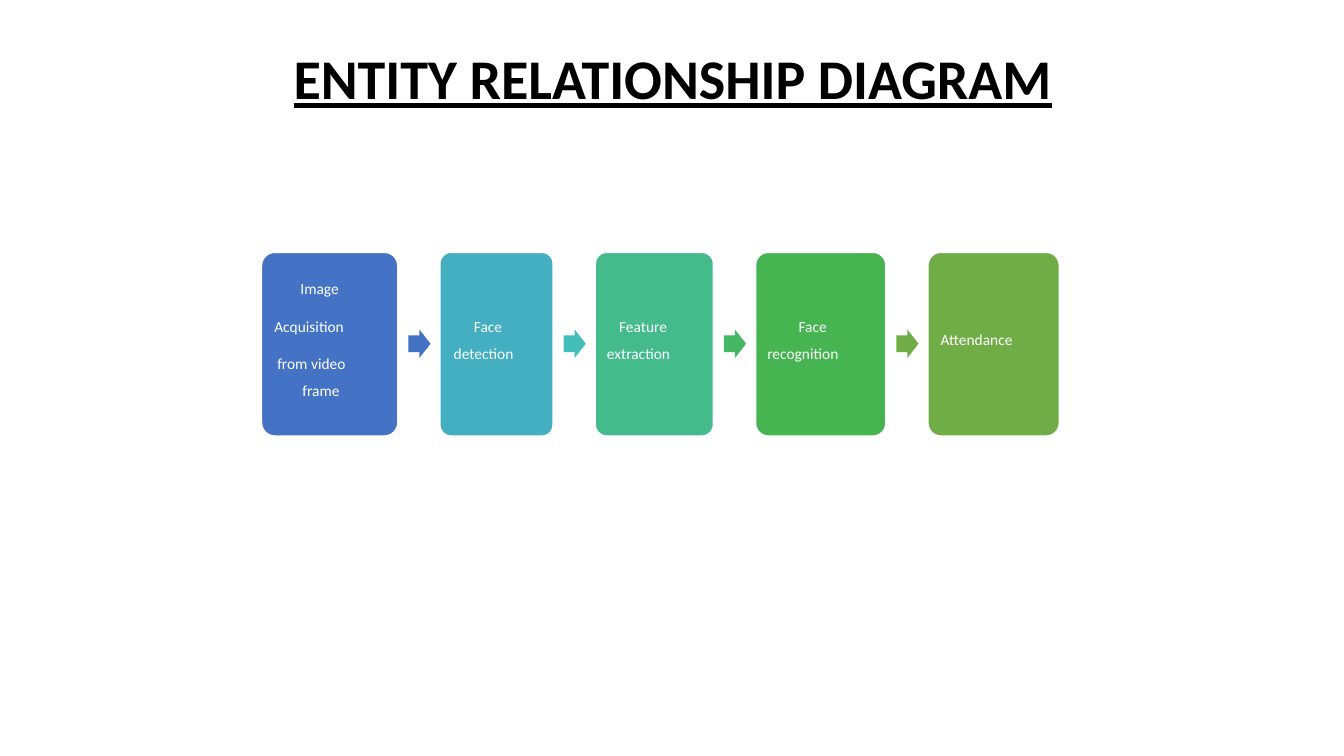
import dataclasses

import pptx
import pptx.dml.color
import pptx.enum.shapes
import pptx.enum.text
import pptx.util

PX = 9144
BOX_GAP = 41
ARROW_GAP, ARROW_W, ARROW_H = 10, 22, 28
LABEL_H = 38


@dataclasses.dataclass(frozen=True)
class Theme:
    """Colours and type sizes of the slide."""
    font: str = "Calibri"
    title: str = "000000"
    white: str = "FFFFFF"
    boxes: tuple = ("4472C4", "43AFC0", "43BB8D", "45B451", "70AD47")
    arrows: tuple = ("4472C4", "43BEB9", "45B664", "70AD47")
    title_size: int = 40
    label_size: int = 11
    outline: float = 1.56


THEME = Theme()

STAGES = [
    (136, [("Image", 39, 26, 77), ("Acquisition", 13, 63, 145),
           ("from video", 16, 100, 145), ("frame", 41, 127, 72)]),
    (113, [("Face", 34, 63, 66), ("detection", 14, 90, 114)]),
    (118, [("Feature", 24, 63, 101), ("extraction", 12, 90, 124)]),
    (130, [("Face", 43, 63, 66), ("recognition", 12, 90, 141)]),
    (131, [("Attendance", 13, 76, 141)]),
]


def px(*values):
    """Turn pixel lengths into EMU."""
    return [pptx.util.Emu(v * PX) for v in values]


def rgb(color):
    """Turn a hex string into a colour."""
    return pptx.dml.color.RGBColor.from_string(color)


def add_run(p, text, size, color):
    """Add one formatted run to a paragraph."""
    r = p.add_run()
    r.text = text
    r.font.name = THEME.font
    r.font.size = pptx.util.Pt(size)
    r.font.color.rgb = rgb(color)
    return r


def add_block(s, kind, box, color, adjustments):
    """Add a filled preset shape without outline or shadow."""
    sp = s.shapes.add_shape(kind, *px(*box))
    for i, value in enumerate(adjustments):
        sp.adjustments[i] = value
    sp.shadow.inherit = False
    sp.fill.solid()
    sp.fill.fore_color.rgb = rgb(color)
    sp.line.fill.background()
    return sp


def add_title(s, box, text):
    """Fill the title placeholder, set in the upper part of its box."""
    sp = s.shapes.title
    sp.left, sp.top, sp.width, sp.height = px(*box)
    tf = sp.text_frame
    tf.word_wrap = True
    tf.auto_size = pptx.enum.text.MSO_AUTO_SIZE.NONE
    tf.vertical_anchor = pptx.enum.text.MSO_ANCHOR.MIDDLE
    tf.margin_bottom = px(68)[0]
    p = tf.paragraphs[0]
    p.alignment = pptx.enum.text.PP_ALIGN.CENTER
    p.line_spacing = 0.9
    r = add_run(p, text, THEME.title_size, THEME.title)
    r.font.bold = True
    r.font.underline = True


def add_label(s, box, text):
    """Add one line of label text without insets."""
    tf = s.shapes.add_textbox(*px(*box)).text_frame
    tf.word_wrap = True
    tf.margin_left = tf.margin_top = tf.margin_right = tf.margin_bottom = 0
    p = tf.paragraphs[0]
    p.line_spacing = 1.07
    p.space_after = pptx.util.Pt(8)
    add_run(p, text, THEME.label_size, THEME.white)


def add_stage(s, box, color, labels):
    """Add a rounded stage box with its labels."""
    kind = pptx.enum.shapes.MSO_SHAPE.ROUNDED_RECTANGLE
    sp = add_block(s, kind, box, color, [0.1])
    sp.line.color.rgb = rgb(THEME.white)
    sp.line.width = pptx.util.Pt(THEME.outline)
    left, top = box[:2]
    for text, dx, dy, width in labels:
        add_label(s, (left + dx, top + dy, width, LABEL_H), text)


def add_flow(s, left, top, height):
    """Lay out the stages from left to right with arrows between them."""
    arrow_top = top + (height - ARROW_H) // 2
    kind = pptx.enum.shapes.MSO_SHAPE.RIGHT_ARROW
    for i, (width, labels) in enumerate(STAGES):
        add_stage(s, (left, top, width, height), THEME.boxes[i], labels)
        left += width
        if i < len(THEME.arrows):
            box = (left + ARROW_GAP, arrow_top, ARROW_W, ARROW_H)
            add_block(s, kind, box, THEME.arrows[i], [0.6, 0.5])
        left += BOX_GAP


def main():
    """Build and save the slide."""
    prs = pptx.Presentation()
    prs.slide_width, prs.slide_height = px(1333, 750)
    s = prs.slides.add_slide(prs.slide_layouts[5])
    add_title(s, (92, 40, 1150, 145), "ENTITY RELATIONSHIP DIAGRAM")
    add_flow(s, 259, 250, 183)
    prs.save("out.pptx")


if __name__ == "__main__":
    main()
